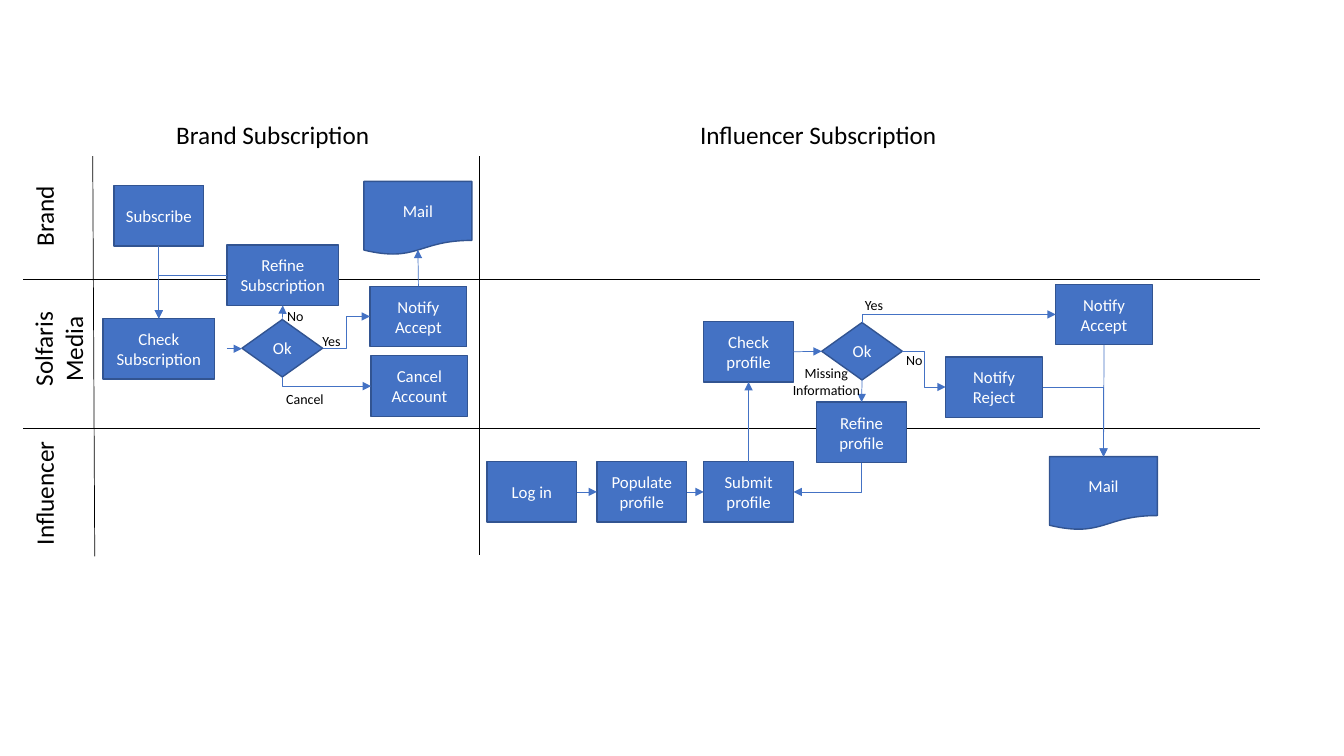
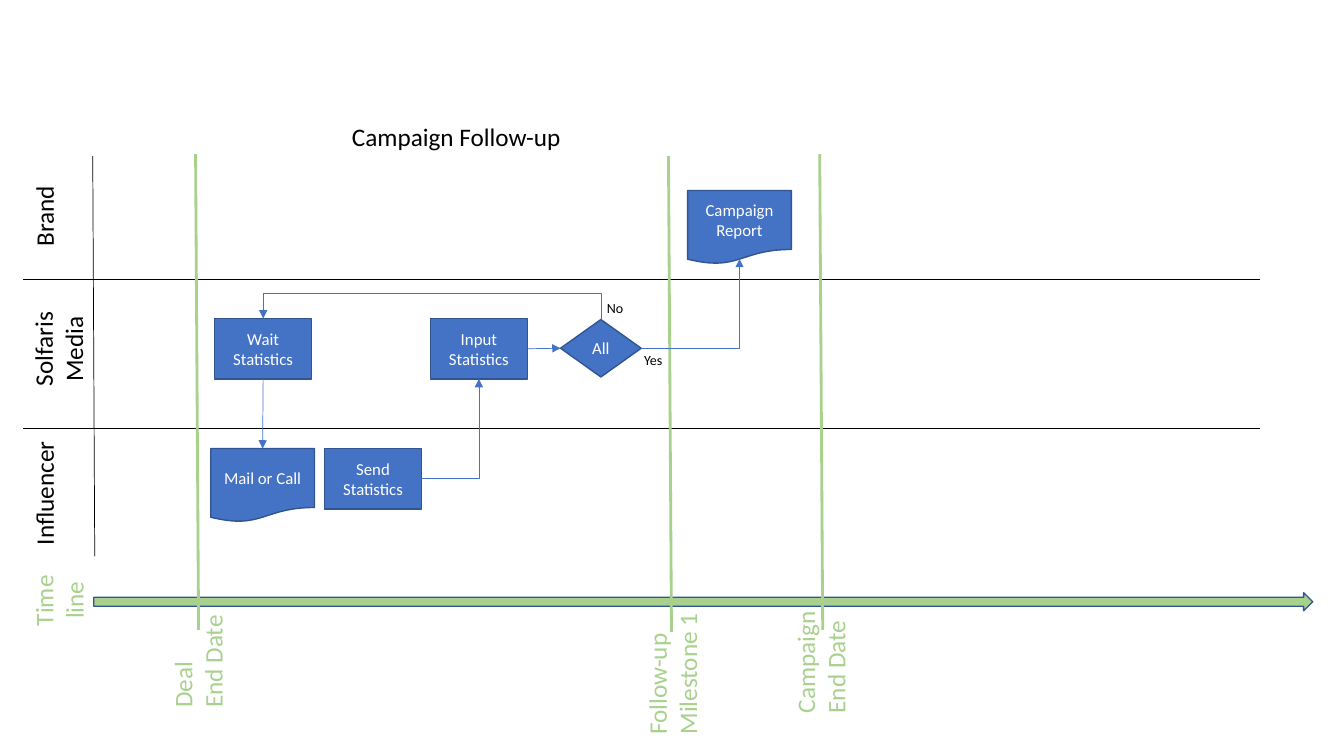
from dataclasses import dataclass

from pptx import Presentation
from pptx.dml.color import RGBColor
from pptx.enum.shapes import MSO_CONNECTOR, MSO_SHAPE
from pptx.enum.text import MSO_ANCHOR, MSO_AUTO_SIZE, PP_ALIGN
from pptx.oxml.ns import qn
from pptx.oxml.xmlchemy import OxmlElement
from pptx.util import Inches, Pt


@dataclass(frozen=True)
class Theme:
    font: str = "Calibri"
    ink: str = "000000"
    white: str = "FFFFFF"
    blue: str = "4472C4"
    outline: str = "325491"
    green: str = "A9D18E"
    heading: int = 18
    node: int = 12
    note: int = 10
    thin: float = 0.5
    border: float = 1
    thick: float = 2


T = Theme()
LEFT, CENTER = PP_ALIGN.LEFT, PP_ALIGN.CENTER

# Flowchart kinds: preset shape and height
KINDS = {
    "process": (MSO_SHAPE.FLOWCHART_PROCESS, 0.6),
    "decision": (MSO_SHAPE.FLOWCHART_DECISION, 0.57),
    "document": (MSO_SHAPE.FLOWCHART_DOCUMENT, 0.73),
}
SIDES = "tlbr"  # order of the connection sites
DOCUMENT_BOTTOM = 0.93  # the wavy edge lies above the box bottom


# Text
def write(tf, text, size, color, aligns=(LEFT,)):
    tf.text = text
    for i, p in enumerate(tf.paragraphs):
        p.alignment = aligns[min(i, len(aligns) - 1)]
        for r in p.runs:
            r.font.name = T.font
            r.font.size = Pt(size)
            r.font.color.rgb = RGBColor.from_string(color)


def label(s, text, x, y, w, h=0.27, size=T.note, color=T.ink,
          aligns=(LEFT,), upright=False):
    sp = s.shapes.add_textbox(Inches(x), Inches(y), Inches(w), Inches(h))
    tf = sp.text_frame
    tf.word_wrap = not upright
    tf.auto_size = MSO_AUTO_SIZE.SHAPE_TO_FIT_TEXT
    write(tf, text, size, color, aligns)
    if upright:
        sp.rotation = 270


def side_label(s, text, x, y, w, h=0.71, color=T.ink, aligns=(LEFT,)):
    label(s, text, x, y, w, h, T.heading, color, aligns, upright=True)


def title(s, text, x, y, w):
    sp = s.shapes.title
    sp.left, sp.top, sp.width, sp.height = map(Inches, (x, y, w, 0.4))
    tf = sp.text_frame
    tf.auto_size = MSO_AUTO_SIZE.NONE
    tf.vertical_anchor = MSO_ANCHOR.TOP
    write(tf, text, T.heading, T.ink, (CENTER,))


# Shapes
def block(s, shape, x, y, w, h, fill):
    sp = s.shapes.add_shape(shape, Inches(x), Inches(y), Inches(w), Inches(h))
    sp.shadow.inherit = False
    sp.fill.solid()
    sp.fill.fore_color.rgb = RGBColor.from_string(fill)
    sp.line.color.rgb = RGBColor.from_string(T.outline)
    sp.line.width = Pt(T.border)
    return sp


def node(s, kind, text, x, y, w):
    shape, h = KINDS[kind]
    sp = block(s, shape, x, y, w, h, T.blue)
    sp.text_frame.word_wrap = True
    sp.text_frame.vertical_anchor = MSO_ANCHOR.MIDDLE
    write(sp.text_frame, text, T.node, T.white, (CENTER,))
    return sp


# Lines and arrows
def line(s, start, end, color=T.ink, width=T.thin, arrow=False,
         kind=MSO_CONNECTOR.STRAIGHT):
    cn = s.shapes.add_connector(kind, *map(Inches, (*start, *end)))
    cn.line.color.rgb = RGBColor.from_string(color)
    cn.line.width = Pt(width)
    spPr = cn.element.spPr
    if arrow:
        tail = OxmlElement("a:tailEnd")
        tail.set("type", "triangle")
        spPr.find(qn("a:ln")).append(tail)
    spPr.append(OxmlElement("a:effectLst"))
    return cn


def port(sp, side):
    x, y, w, h = (v.inches for v in (sp.left, sp.top, sp.width, sp.height))
    if sp.auto_shape_type == MSO_SHAPE.FLOWCHART_DOCUMENT and side == "b":
        return x + w / 2, y + h * DOCUMENT_BOTTOM
    return {"t": (x + w / 2, y), "l": (x, y + h / 2),
            "b": (x + w / 2, y + h), "r": (x + w, y + h / 2)}[side]


def connect(s, a, side_a, b, side_b, via_y=None):
    """Glue an arrow from one node's side to another's, bent where needed."""
    (x1, y1), (x2, y2) = start, end = port(a, side_a), port(b, side_b)
    dx, dy = x2 - x1, y2 - y1
    straight = side_a != side_b and min(abs(dx), abs(dy)) < 0.03
    kind = MSO_CONNECTOR.STRAIGHT if straight else MSO_CONNECTOR.ELBOW
    cn = line(s, start, end, T.blue, arrow=True, kind=kind)
    cn.begin_connect(a, SIDES.index(side_a))
    cn.end_connect(b, SIDES.index(side_b))

    # An elbow that leaves vertically is a turned one that leaves sideways
    if not straight and side_a in "tb":
        turn = 1 if dx * dy < 0 else -1
        cx, cy = (x1 + x2) / 2, (y1 + y2) / 2
        u, v = turn * dy / 2, -turn * dx / 2
        start, end = (cx - u, cy - v), (cx + u, cy + v)
        angle = 90 if turn == 1 else 270
        cn.element.spPr.find(qn("a:xfrm")).set("rot", str(angle * 60000))
    cn.begin_x, cn.begin_y = map(Inches, start)
    cn.end_x, cn.end_y = map(Inches, end)

    geom = cn.element.spPr.find(qn("a:prstGeom"))
    if not straight and (side_a in "tb") != (side_b in "tb"):
        geom.set("prst", "bentConnector2")
    if via_y is not None:
        gd = OxmlElement("a:gd")
        gd.set("name", "adj1")
        gd.set("fmla", f"val {round((via_y - y1) / dy * 100000)}")
        geom.find(qn("a:avLst")).append(gd)


def flow(s, nodes, links):
    made = {key: node(s, *row) for key, row in nodes.items()}
    for a, side_a, b, side_b, *via in links:
        connect(s, made[a], side_a, made[b], side_b, *via)


# Swimlanes shared by the slides
def swimlanes(s):
    side_label(s, "Brand", 0.03, 1.94, 0.81, 0.4)
    side_label(s, "Solfaris\nMedia", -0.02, 3.11, 1.2, aligns=(CENTER,))
    side_label(s, "Influencer", -0.19, 4.68, 1.25, 0.4)
    for y in (2.77, 4.25):
        line(s, (0.23, y), (12.5, y))
    line(s, (0.92, 1.55), (0.94, 5.52))


def subscription_slide(s):
    title(s, "Brand Subscription", 0.92, 1.13, 3.57)
    label(s, "Influencer Subscription", 4.75, 1.13, 6.73, 0.4,
          T.heading, aligns=(CENTER,))
    swimlanes(s)
    line(s, (4.75, 1.55), (4.75, 5.51))

    # Brand flow
    flow(s, {
        "subscribe": ("process", "Subscribe", 1.13, 1.84, 0.89),
        "check": ("process", "Check Subscription", 1.02, 3.16, 1.11),
        "ok": ("decision", "Ok", 2.4, 3.17, 0.8),
        "refine": ("process", "Refine Subscription", 2.25, 2.43, 1.11),
        "accept": ("process", "Notify\nAccept", 3.67, 2.84, 0.96),
        "mail": ("document", "Mail", 3.61, 1.8, 1.07),
        "cancel": ("process", "Cancel Account", 3.68, 3.53, 0.96),
    }, [
        ("subscribe", "b", "check", "t"),
        ("ok", "t", "refine", "b"),
        ("refine", "l", "check", "t"),
        ("ok", "r", "accept", "l"),
        ("ok", "b", "cancel", "l"),
        ("accept", "t", "mail", "b"),
    ])
    line(s, (2.25, 3.46), (2.4, 3.46), T.blue, arrow=True)

    # Influencer flow
    flow(s, {
        "login": ("process", "Log in", 4.83, 4.58, 0.89),
        "populate": ("process", "Populate profile", 5.92, 4.58, 0.89),
        "submit": ("process", "Submit profile", 6.98, 4.58, 0.89),
        "check": ("process", "Check profile", 6.98, 3.19, 0.89),
        "ok": ("decision", "Ok", 8.15, 3.2, 0.8),
        "refine": ("process", "Refine profile", 8.1, 3.99, 0.89),
        "accept": ("process", "Notify\nAccept", 10.47, 2.82, 0.96),
        "reject": ("process", "Notify\nReject", 9.38, 3.54, 0.96),
        "mail": ("document", "Mail", 10.41, 4.53, 1.07),
    }, [
        ("login", "r", "populate", "l"),
        ("populate", "r", "submit", "l"),
        ("submit", "t", "check", "b"),
        ("check", "r", "ok", "l"),
        ("ok", "b", "refine", "t"),
        ("refine", "b", "submit", "r"),
        ("ok", "t", "accept", "l"),
        ("ok", "r", "reject", "l"),
        ("accept", "b", "mail", "t"),
        ("reject", "r", "mail", "t"),
    ])

    # Branch labels
    for text, x, y, w in (("Yes", 3.1, 3.25, 0.4), ("No", 2.75, 3, 0.4),
                          ("Cancel", 2.74, 3.83, 0.62),
                          ("No", 8.89, 3.44, 0.4), ("Yes", 8.48, 2.89, 0.4)):
        label(s, text, x, y, w)
    label(s, "Missing Information", 7.75, 3.57, 0.89, 0.44, aligns=(CENTER,))


def follow_up_slide(s):
    title(s, "Campaign Follow-up", 0.92, 1.15, 7.21)
    swimlanes(s)

    # Timeline and its milestones
    block(s, MSO_SHAPE.RIGHT_ARROW, 0.93, 5.88, 12.09, 0.18, T.green)
    side_label(s, "Time\nline", 0.23, 5.6, 0.71, color=T.green,
               aligns=(LEFT, CENTER))
    for text, x, y, w, foot_x, foot_y in (
            ("Deal\nEnd Date", 1.4, 6.2, 1.13, 1.97, 6.25),
            ("Follow-up\nMilestone 1", 5.96, 6.32, 1.42, 6.66, 6.27),
            ("Campaign\nEnd Date", 7.53, 6.21, 1.22, 8.16, 6.25)):
        line(s, (foot_x, foot_y), (foot_x - 0.03, foot_y - 4.72),
             T.green, T.thick)
        side_label(s, text, x, y, w, color=T.green)

    # Statistics flow
    flow(s, {
        "wait": ("process", "Wait Statistics", 2.13, 3.16, 0.96),
        "call": ("document", "Mail or Call", 2.09, 4.45, 1.03),
        "send": ("process", "Send Statistics", 3.22, 4.45, 0.96),
        "input": ("process", "Input Statistics", 4.27, 3.16, 0.96),
        "all": ("decision", "All", 5.56, 3.17, 0.8),
        "report": ("document", "Campaign\nReport", 6.82, 1.89, 1.03),
    }, [
        ("wait", "b", "call", "t"),
        ("send", "r", "input", "b"),
        ("input", "r", "all", "l"),
        ("all", "t", "wait", "t", 2.91),
        ("all", "r", "report", "b"),
    ])
    label(s, "Yes", 6.29, 3.44, 0.4)
    label(s, "No", 5.92, 2.92, 0.4)


def main():
    prs = Presentation()
    prs.slide_width, prs.slide_height = Inches(13.33), Inches(7.5)
    title_only = prs.slide_layouts[5]
    for build in (subscription_slide, follow_up_slide):
        build(prs.slides.add_slide(title_only))
    prs.save("out.pptx")


if __name__ == "__main__":
    main()
